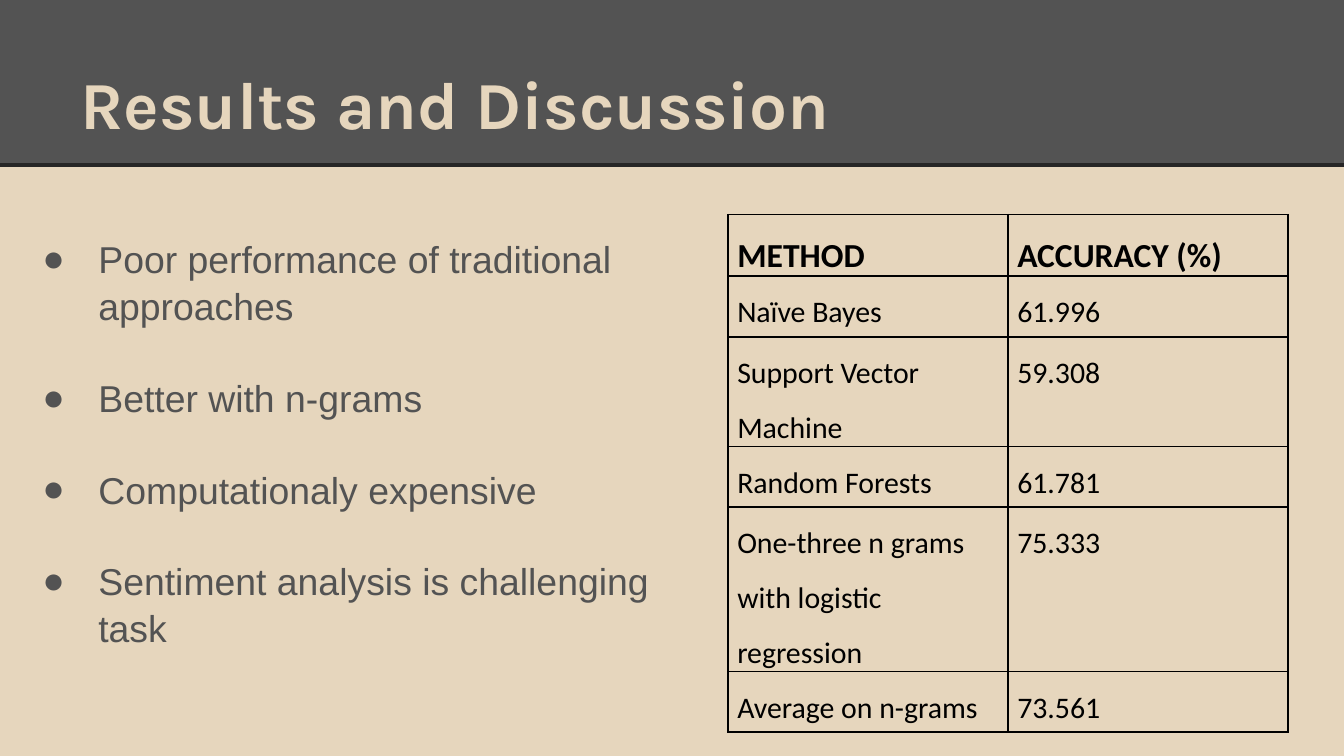
from dataclasses import dataclass

from lxml.etree import SubElement
from pptx import Presentation
from pptx.dml.color import RGBColor
from pptx.enum.shapes import MSO_CONNECTOR, MSO_SHAPE
from pptx.enum.text import MSO_ANCHOR, MSO_AUTO_SIZE, PP_ALIGN
from pptx.oxml.ns import qn
from pptx.util import Pt

COLORS = {
    "sand": "E6D6BD",
    "slate": "535353",
    "rule": "262626",
    "ink": "000000",
}
WIDTH, HEIGHT, BAND = 720, 405, 88.5
ROW, COL = 32.5, 150


@dataclass
class Box:
    left: float
    top: float
    width: float
    height: float


@dataclass
class Style:
    font: str
    size: float
    color: str
    bold: bool = False


@dataclass
class Score:
    method: str
    value: str
    span: int = 1


HEAD = Style("Calibri", 18, "ink", True)
CELL = Style("Calibri", 16, "ink")
TITLE = Style("Karla", 36, "sand", True)
BODY = Style("Arial", 20, "slate")

SCORES = [
    Score("METHOD", "ACCURACY (%)"),
    Score("Naïve Bayes", "61.996"),
    Score("Support Vector Machine", "59.308"),
    Score("Random Forests", "61.781"),
    Score("One-three n grams with logistic regression", "75.333", 2),
    Score("Average on n-grams", "73.561"),
]
POINTS = [
    "Poor performance of traditional approaches",
    "Better with n-grams",
    "Computationaly expensive",
    "Sentiment analysis is challenging task",
]


def rgb(name: str) -> RGBColor:
    return RGBColor.from_string(COLORS[name])


def format_runs(para, style: Style) -> None:
    for run in para.runs:
        font = run.font
        font.name, font.size, font.bold = style.font, Pt(style.size), style.bold
        font.color.rgb = rgb(style.color)


def place(shape, box: Box) -> None:
    shape.left, shape.top = Pt(box.left), Pt(box.top)
    shape.width, shape.height = Pt(box.width), Pt(box.height)


def set_frame(frame, anchor, inset: float) -> None:
    frame.word_wrap = True
    frame.auto_size = MSO_AUTO_SIZE.NONE
    frame.vertical_anchor = anchor
    frame.margin_left = frame.margin_right = Pt(inset)
    frame.margin_top = frame.margin_bottom = Pt(inset)


def add_band(slide) -> None:
    """Draw the header band and its rule behind the placeholders."""
    band = slide.shapes.add_shape(MSO_SHAPE.RECTANGLE, 0, 0, Pt(WIDTH), Pt(BAND))
    band.shadow.inherit = False
    band.fill.solid()
    band.fill.fore_color.rgb = rgb("slate")
    band.line.fill.background()

    rule = slide.shapes.add_connector(
        MSO_CONNECTOR.STRAIGHT, 0, Pt(BAND), Pt(WIDTH), Pt(BAND))
    rule.line.color.rgb = rgb("rule")
    rule.line.width = Pt(2.25)
    SubElement(rule._element.spPr, qn("a:effectLst"))

    tree = slide.shapes._spTree
    for at, shape in enumerate((band, rule), start=2):
        tree.insert(at, shape._element)


def add_title(slide, text: str) -> None:
    title = slide.shapes.title
    place(title, Box(36, 16.5, 648, 67.5))
    set_frame(title.text_frame, MSO_ANCHOR.BOTTOM, 7.2)
    title.text_frame.text = text
    para = title.text_frame.paragraphs[0]
    para.alignment = PP_ALIGN.LEFT
    format_runs(para, TITLE)


def add_bullet(para) -> None:
    props = para._p.get_or_add_pPr()
    props.set("marL", str(Pt(36)))
    props.set("indent", str(Pt(-30)))
    color = SubElement(props, qn("a:buClr"))
    SubElement(color, qn("a:srgbClr"), val=COLORS["slate"])
    SubElement(props, qn("a:buFont"), typeface="Arial")
    SubElement(props, qn("a:buChar"), char="●")


def add_points(slide, points: list[str]) -> None:
    body = slide.placeholders[1]
    place(body, Box(9.5, 118, 368.5, 287))
    frame = body.text_frame
    set_frame(frame, MSO_ANCHOR.TOP, 7.2)
    frame.text = "\n".join(points)
    for i, para in enumerate(frame.paragraphs):
        para.alignment = PP_ALIGN.LEFT
        para.line_spacing = 1.05
        para.space_before = Pt(24 if i else 0)
        add_bullet(para)
        format_runs(para, BODY)


def add_borders(cell) -> None:
    props = cell._tc.get_or_add_tcPr()
    for side in ("lnL", "lnR", "lnT", "lnB"):
        line = SubElement(props, qn(f"a:{side}"), w=str(Pt(1)))
        fill = SubElement(line, qn("a:solidFill"))
        SubElement(fill, qn("a:srgbClr"), val=COLORS["ink"])


def fill_cell(cell, text: str, style: Style) -> None:
    add_borders(cell)
    cell.fill.background()
    cell.margin_left = cell.margin_right = Pt(5)
    cell.margin_top = cell.margin_bottom = 0
    cell.text_frame.text = text
    para = cell.text_frame.paragraphs[0]
    para.line_spacing = 1.5
    format_runs(para, style)


def add_scores(slide, scores: list[Score]) -> None:
    total = ROW * sum(score.span for score in scores)
    table = slide.shapes.add_table(
        len(scores), 2, Pt(390), Pt(115), Pt(2 * COL), Pt(total)).table
    table.first_row = table.horz_banding = False
    for i, score in enumerate(scores):
        table.rows[i].height = Pt(ROW * score.span)
        for j, text in enumerate((score.method, score.value)):
            fill_cell(table.cell(i, j), text, CELL if i else HEAD)


def main() -> None:
    deck = Presentation()
    deck.slide_width, deck.slide_height = Pt(WIDTH), Pt(HEIGHT)
    slide = deck.slides.add_slide(deck.slide_layouts[1])
    slide.background.fill.solid()
    slide.background.fill.fore_color.rgb = rgb("sand")
    add_band(slide)
    add_title(slide, "Results and Discussion")
    add_scores(slide, SCORES)
    add_points(slide, POINTS)
    deck.save("out.pptx")


if __name__ == "__main__":
    main()
